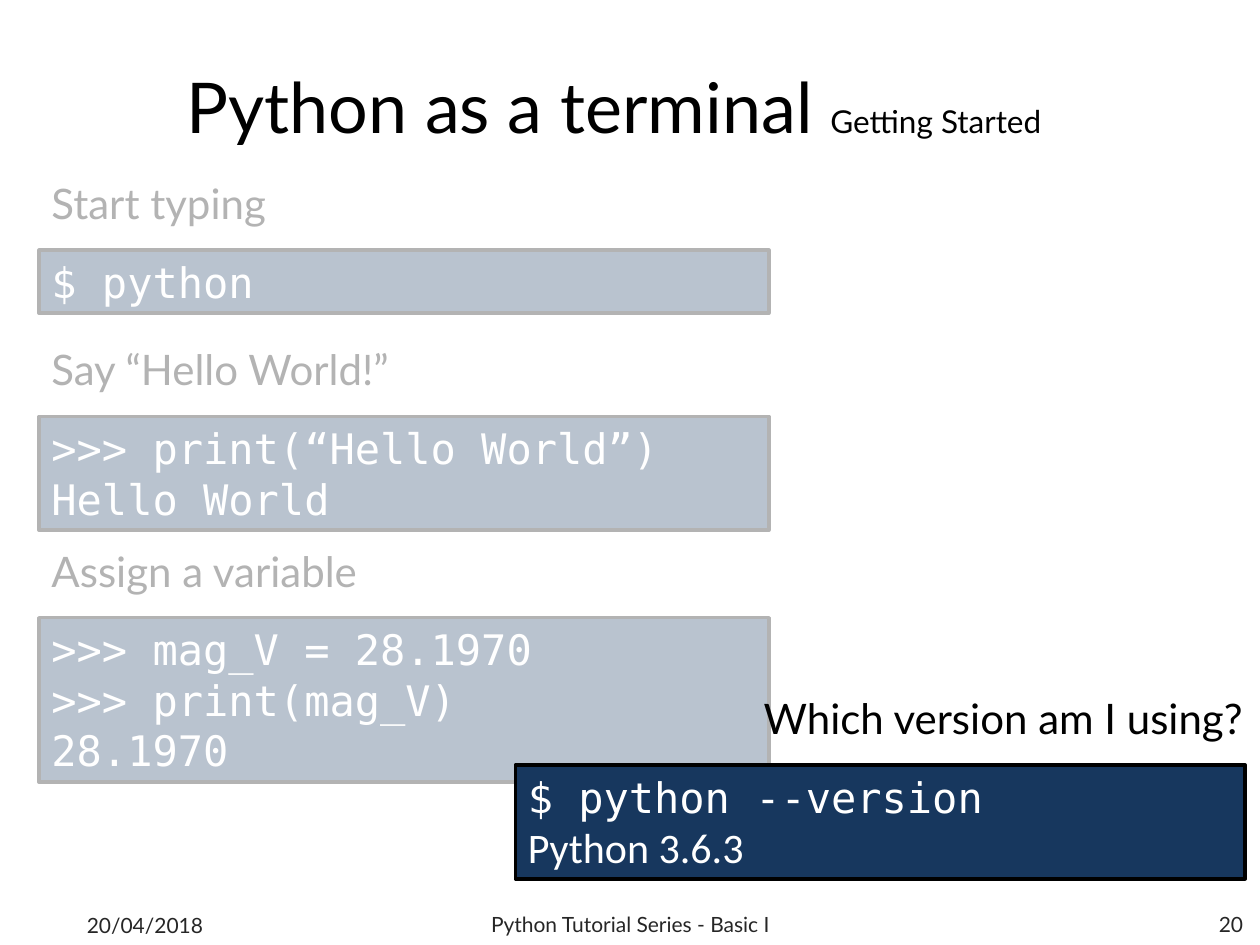
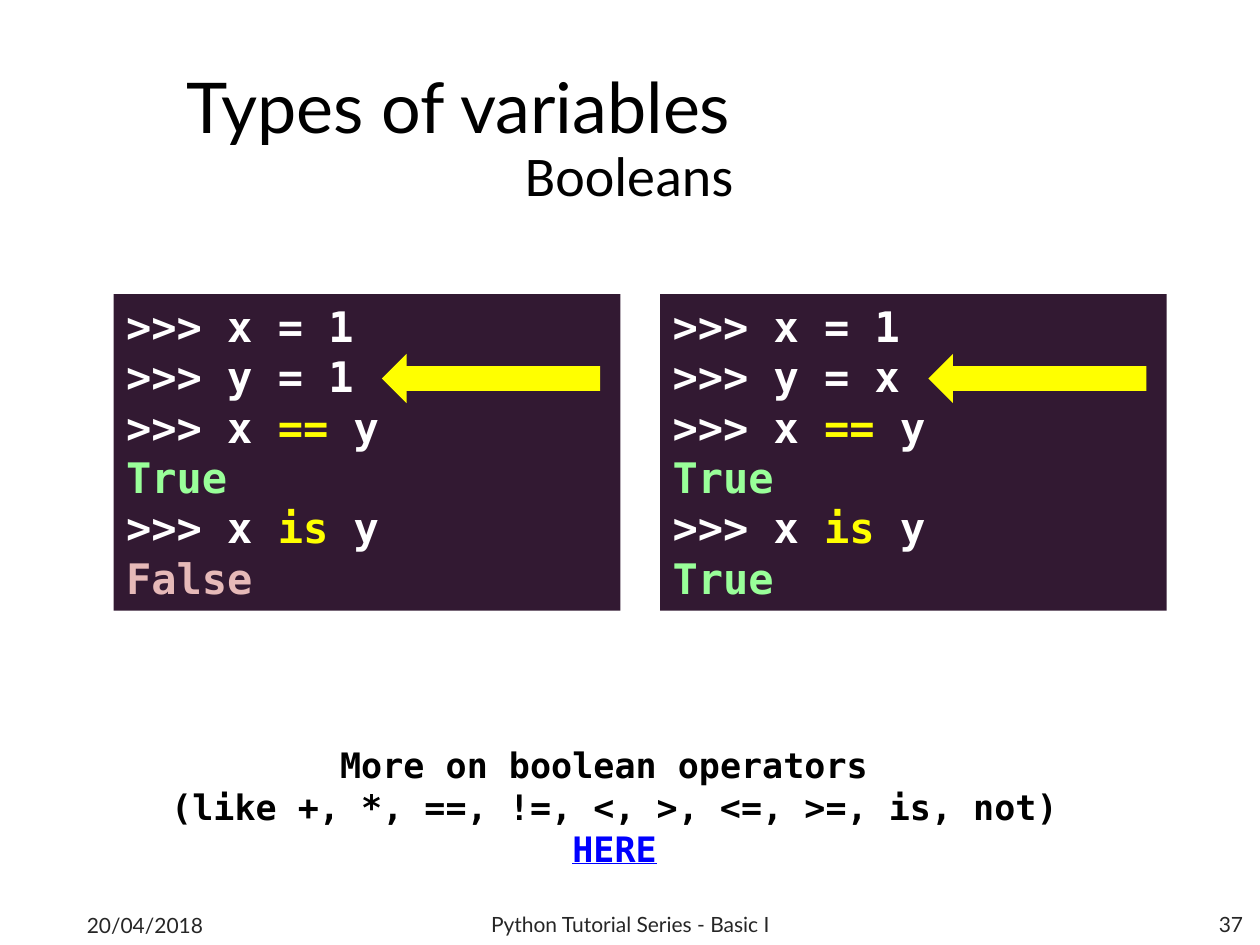
"""Builds two slides of a Python tutorial: the terminal and booleans."""
from lxml.etree import SubElement
from pptx import Presentation
from pptx.dml.color import RGBColor
from pptx.enum.shapes import MSO_SHAPE as Shape
from pptx.enum.text import MSO_ANCHOR as Anchor, PP_ALIGN as Align
from pptx.oxml.ns import qn
from pptx.util import Pt

BODY, MONO, PLAIN = "Lato", "DejaVu Sans Mono", "Calibri"
BLACK, WHITE, GREY, NAVY = "000000", "FFFFFF", "262626", "17375E"
PLUM, YELLOW, GREEN, PINK, BLUE = "321932", "FFFF00", "99FF99", "E6B9B8", "0000FF"

DATE, SERIES = "20/04/2018", "Python Tutorial Series - Basic I"

EARLIER_STEPS = [
    ("Start typing", 98, 176, ["$ python"]),
    ("Say “Hello World!”", 193, 208, [">>> print(“Hello World”)", "Hello World"]),
    ("Assign a variable", 308, 358, [">>> mag_V = 28.1970", ">>> print(mag_V)", "28.1970"]),
]
VERSION_QUESTION = "Which version am I using?"
VERSION_LINES = ["$ python --version", [("Python 3.6.3", {"name": PLAIN})]]

COMPARISONS = [("1", ("False", PINK)), ("x", ("True", GREEN))]
OPERATORS_NOTE = [
    "More on boolean operators ",
    "(like +, *, ==, !=, <, >, <=, >=, is, not)",
    [("HERE", {"color": BLUE, "underline": True})],
]

STEP_LEFT, CODE_WIDTH, LABEL_HEIGHT, LABEL_TO_CODE = 22.3, 417, 36, 45
TERMINAL_LEFT, TERMINAL_TOP, TERMINAL_WIDTH, TERMINAL_STEP = 65, 168, 289.5, 312.2
LINE_HEIGHT, PADDING = 29, 7


def rgb(color):
    return RGBColor.from_string(color)


def style(font, color=None, **settings):
    if color:
        font.color.rgb = rgb(color)
    for name, value in settings.items():
        setattr(font, name, value)


def write(box, lines, size, name=BODY, color=BLACK, align=Align.LEFT, anchor=Anchor.TOP, bold=False):
    frame = box.text_frame
    frame.word_wrap = True
    frame.vertical_anchor = anchor
    for index, line in enumerate(lines):
        para = frame.add_paragraph() if index else frame.paragraphs[0]
        para.alignment = align
        style(para.font, color, name=name, size=Pt(size), bold=bold)
        for text, changes in [(line, {})] if isinstance(line, str) else line:
            span = para.add_run()
            span.text = text
            style(span.font, **changes)


def add_text(page, place, lines, size, **settings):
    box = page.shapes.add_textbox(*map(Pt, place))
    write(box, lines, size, **settings)


def add_block(page, place, fill, line=None, kind=Shape.RECTANGLE):
    block = page.shapes.add_shape(kind, *map(Pt, place))
    block.shadow.inherit = False
    block.fill.solid()
    block.fill.fore_color.rgb = rgb(fill)
    if line:
        block.line.color.rgb = rgb(line)
        block.line.width = Pt(2)
    else:
        block.line.fill.background()
    return block


def add_code(page, left, top, width, lines, fill, line=None, bold=False):
    place = (left, top, width, PADDING + LINE_HEIGHT * len(lines))
    write(add_block(page, place, fill, line), lines, 24, name=MONO, color=WHITE, bold=bold)


def add_step(page, label, label_place, code_left, lines, align=Align.LEFT):
    add_text(page, label_place, [label], 24, align=align)
    add_code(page, code_left, label_place[1] + LABEL_TO_CODE, CODE_WIDTH, lines, NAVY, BLACK)


def add_veil(page, place):
    veil = add_block(page, place, WHITE)
    tint = veil.fill._xPr.find(qn("a:solidFill"))[0]
    SubElement(tint, qn("a:alpha"), val="70000")


def add_page(deck, title, number):
    page = deck.slides.add_slide(deck.slide_layouts[6])
    add_text(page, (99.4, 31.7, 584.6, 57), [title], 40, anchor=Anchor.MIDDLE)
    footers = [
        (DATE, 42.5, 514.1, 168, Align.LEFT),
        (SERIES, 246.2, 513.4, 228.2, Align.CENTER),
        (number, 549.4, 513.4, 168, Align.RIGHT),
    ]
    for text, left, top, width, align in footers:
        add_text(page, (left, top, width, 28.8), [text], 12, color=GREY, align=align, anchor=Anchor.MIDDLE)
    return page


def build_terminal(deck):
    title = [("Python as a terminal ", {}), ("Getting Started", {"size": Pt(18)})]
    page = add_page(deck, title, "20")
    for label, top, width, lines in EARLIER_STEPS:
        add_step(page, label, (STEP_LEFT, top, width, LABEL_HEIGHT), STEP_LEFT, lines)
    add_veil(page, (14.4, 105, 448, 386))
    question_place = (300.2, 392.2, CODE_WIDTH, LABEL_HEIGHT)
    add_step(page, VERSION_QUESTION, question_place, 294.5, VERSION_LINES, Align.RIGHT)


def comparison_lines(value, result):
    def compare(operator):
        return [(">>> x ", {}), (operator, {"color": YELLOW}), (" y", {})]

    def answer(text, color):
        return [(text, {"color": color})]

    return [">>> x = 1", f">>> y = {value}", compare("=="), answer("True", GREEN),
            compare("is"), answer(*result)]


def build_booleans(deck):
    page = add_page(deck, "Types of variables", "37")
    add_text(page, (19.4, 77, 680.4, 57), ["Booleans"], 32, name=PLAIN, align=Align.CENTER)
    for index, (value, result) in enumerate(COMPARISONS):
        left = TERMINAL_LEFT + index * TERMINAL_STEP
        add_code(page, left, TERMINAL_TOP, TERMINAL_WIDTH, comparison_lines(value, result), PLUM, bold=True)
        add_block(page, (left + 153.3, 202.2, 124.6, 28.2), YELLOW, kind=Shape.LEFT_ARROW)
    add_text(page, (65, 421.2, 572.4, 80), OPERATORS_NOTE, 20, name=MONO, align=Align.CENTER, bold=True)


def main():
    deck = Presentation()
    deck.slide_width, deck.slide_height = Pt(720), Pt(540)
    build_terminal(deck)
    build_booleans(deck)
    deck.save("out.pptx")


if __name__ == "__main__":
    main()
